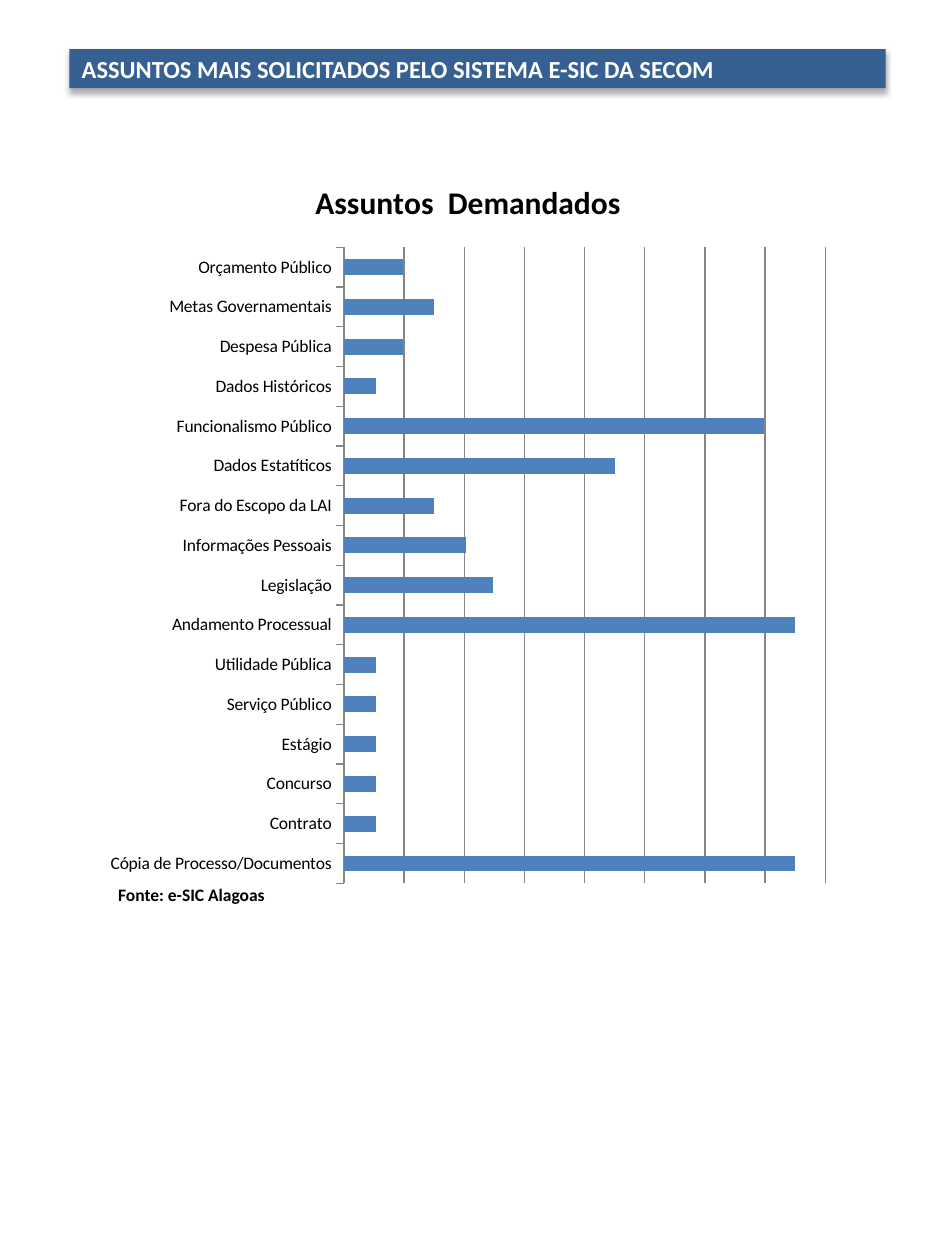
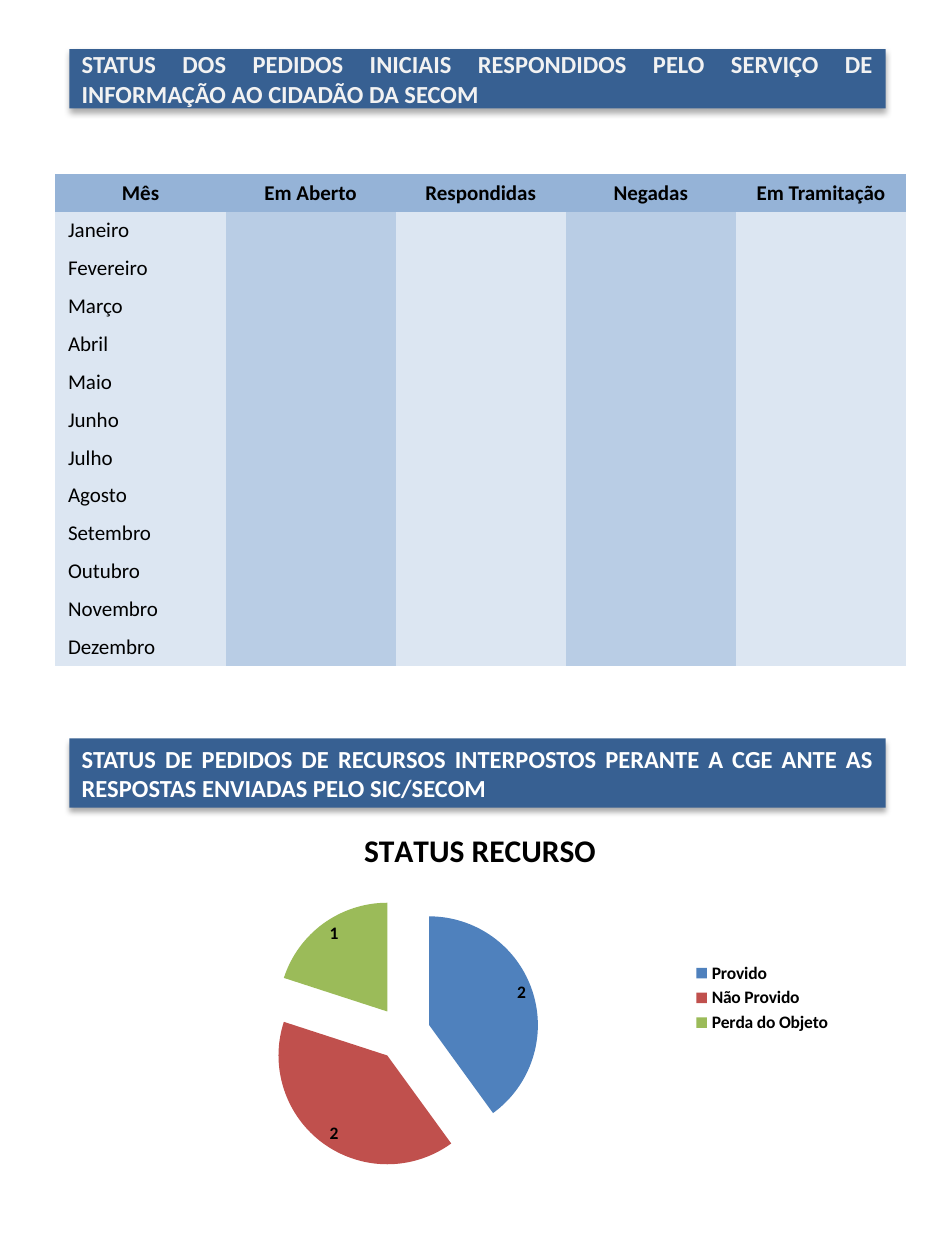
from lxml import etree
from pptx import Presentation
from pptx.chart.data import CategoryChartData
from pptx.dml.color import RGBColor
from pptx.enum.chart import XL_CHART_TYPE, XL_LABEL_POSITION, XL_LEGEND_POSITION, XL_TICK_MARK
from pptx.enum.shapes import MSO_SHAPE
from pptx.enum.text import MSO_ANCHOR, PP_ALIGN
from pptx.oxml import parse_xml
from pptx.oxml.ns import nsdecls, qn
from pptx.util import Inches, Pt

FONT = "Calibri"
COLORS = {
    "band": "376092", "white": "FFFFFF", "soft": "F2F2F2", "black": "000000",
    "head": "95B3D7", "light": "DCE6F2", "mid": "B9CDE5", "grid": "868686",
    "blue": "4F81BD", "red": "C0504D", "green": "9BBB59",
}
NO_STYLE = "{2D5ABB26-0587-4C30-8999-92F81FD0307C}"

TOPICS = [
    ("Cópia de Processo/Documentos", 100), ("Contrato", 7), ("Concurso", 7),
    ("Estágio", 7), ("Serviço Público", 7), ("Utilidade Pública", 7),
    ("Andamento Processual", 100), ("Legislação", 33), ("Informações Pessoais", 27),
    ("Fora do Escopo da LAI", 20), ("Dados Estatíticos", 60),
    ("Funcionalismo Público", 93), ("Dados Históricos", 7),
    ("Despesa Pública", 13), ("Metas Governamentais", 20), ("Orçamento Público", 13),
]
TOPIC_SERIES = [("Series 1", "blue"), ("Series 2", "red"), ("Series 3", "green")]
APPEALS = [("Provido", 2, "blue"), ("Não Provido", 2, "red"), ("Perda do Objeto", 1, "green")]
HEADS = ["Mês", "Em Aberto", "Respondidas", "Negadas", "Em Tramitação"]
MONTHS = ["Janeiro", "Fevereiro", "Março", "Abril", "Maio", "Junho", "Julho",
          "Agosto", "Setembro", "Outubro", "Novembro", "Dezembro"]


def tint(name):
    return RGBColor.from_string(COLORS[name])


def paint(fill, name):
    fill.solid()
    fill.fore_color.rgb = tint(name)


def style(font, size, color="black", bold=False):
    font.name, font.size, font.bold = FONT, Pt(size), bold
    font.color.rgb = tint(color)


def write(para, text, size, color="black", bold=False, align=PP_ALIGN.LEFT):
    para.alignment = align
    run = para.add_run()
    run.text = text
    style(run.font, size, color, bold)


def add_band(slide, top, height, text, color="white", align=PP_ALIGN.JUSTIFY):
    """Draw a heading band with a soft shadow below it."""
    band = slide.shapes.add_shape(MSO_SHAPE.RECTANGLE, Inches(0.55), Inches(top),
                                  Inches(6.48), Inches(height))
    paint(band.fill, "band")
    band.line.fill.background()
    band.shadow.inherit = False
    effects = band._element.spPr.find(qn("a:effectLst"))
    effects.append(parse_xml(
        f'<a:outerShdw {nsdecls("a")} blurRad="{Pt(3.5)}" dist="{Pt(2.2)}" dir="5400000" '
        f'rotWithShape="0"><a:srgbClr val="{COLORS["black"]}"><a:alpha val="32000"/>'
        '</a:srgbClr></a:outerShdw>'))
    frame = band.text_frame
    frame.word_wrap = True
    frame.vertical_anchor = MSO_ANCHOR.MIDDLE
    write(frame.paragraphs[0], text, 14, color, True, align)


def add_chart(slide, kind, box, title, rows, names):
    """Add a titled chart; the first series holds the values of the rows."""
    data = CategoryChartData()
    data.categories = [row[0] for row in rows]
    for index, name in enumerate(names):
        data.add_series(name, [] if index else [row[1] for row in rows])
    chart = slide.shapes.add_chart(kind, *map(Inches, box), data).chart
    style(chart.font, 10)
    chart.has_legend = False
    chart.has_title = True
    write(chart.chart_title.text_frame.paragraphs[0], title, 18, bold=True, align=PP_ALIGN.CENTER)
    chart.chart_title.include_in_layout = False
    return chart


def add_topics(slide):
    chart = add_chart(slide, XL_CHART_TYPE.BAR_CLUSTERED, (0.76, 1.22, 5.91, 5.91),
                      "Assuntos  Demandados", TOPICS, [name for name, _ in TOPIC_SERIES])
    plot = chart.plots[0]
    plot.gap_width, plot.overlap = 150, 100
    plot.vary_by_categories = False
    for bars, (_, color) in zip(plot.series, TOPIC_SERIES):
        paint(bars.format.fill, color)
    names, scale = chart.category_axis, chart.value_axis
    names.major_tick_mark = XL_TICK_MARK.OUTSIDE
    scale.visible = False
    scale.has_major_gridlines = True
    scale.minimum_scale, scale.maximum_scale, scale.major_unit = 0, 106.67, 13.33
    for line in (names.format.line, scale.major_gridlines.format.line):
        line.color.rgb = tint("grid")
        line.width = Pt(0.75)


def add_appeals(slide):
    title = "STATUS RECURSO"
    chart = add_chart(slide, XL_CHART_TYPE.PIE, (0.92, 6.42, 5.78, 3), title, APPEALS, [title])
    chart.has_legend = True
    chart.legend.position = XL_LEGEND_POSITION.RIGHT
    chart.legend.include_in_layout = False
    style(chart.legend.font, 10, bold=True)
    plot = chart.plots[0]
    plot.vary_by_categories = True
    pie = plot.series[0]
    burst = etree.Element(qn("c:explosion"), val="25")
    pie._element.find(qn("c:tx")).addnext(burst)
    for index, (_, _, color) in enumerate(APPEALS):
        paint(pie.points[index].format.fill, color)
    labels = pie.data_labels
    labels.show_value = True
    labels.position = XL_LABEL_POSITION.BEST_FIT
    style(labels.font, 10, bold=True)


def add_months(slide):
    rows = [HEADS] + [[month] + [""] * (len(HEADS) - 1) for month in MONTHS]
    table = slide.shapes.add_table(len(rows), len(HEADS), Inches(0.44), Inches(1.38),
                                   Inches(6.75), Inches(0.3 * len(rows))).table
    table._tbl.tblPr.find(qn("a:tableStyleId")).text = NO_STYLE
    for r, row in enumerate(rows):
        for c, text in enumerate(row):
            cell = table.cell(r, c)
            paint(cell.fill, "head" if r == 0 else ("light", "mid")[c % 2])
            cell.vertical_anchor = MSO_ANCHOR.MIDDLE
            para = cell.text_frame.paragraphs[0]
            if text:
                write(para, text, 12, bold=r == 0,
                      align=PP_ALIGN.LEFT if r else PP_ALIGN.CENTER)
            else:
                para.font.size = Pt(12)


def main():
    deck = Presentation()
    deck.slide_width, deck.slide_height = Inches(7.5), Inches(10)
    first, second = (deck.slides.add_slide(deck.slide_layouts[6]) for _ in range(2))

    add_topics(first)
    source = first.shapes.add_textbox(Inches(0.84), Inches(6.97), Inches(1.4), Inches(0.27))
    source.text_frame.word_wrap = False
    write(source.text_frame.paragraphs[0], "Fonte: e-SIC Alagoas", 10, bold=True)
    add_band(first, 0.39, 0.31, "ASSUNTOS MAIS SOLICITADOS PELO SISTEMA E-SIC DA SECOM",
             align=PP_ALIGN.LEFT)

    add_months(second)
    add_appeals(second)
    add_band(second, 0.39, 0.47, "STATUS DOS PEDIDOS INICIAIS RESPONDIDOS PELO SERVIÇO DE "
             "INFORMAÇÃO AO CIDADÃO DA SECOM", "soft")
    add_band(second, 5.86, 0.55, "STATUS DE PEDIDOS DE RECURSOS INTERPOSTOS PERANTE A CGE "
             "ANTE AS RESPOSTAS ENVIADAS PELO SIC/SECOM")
    deck.save("out.pptx")


if __name__ == "__main__":
    main()
